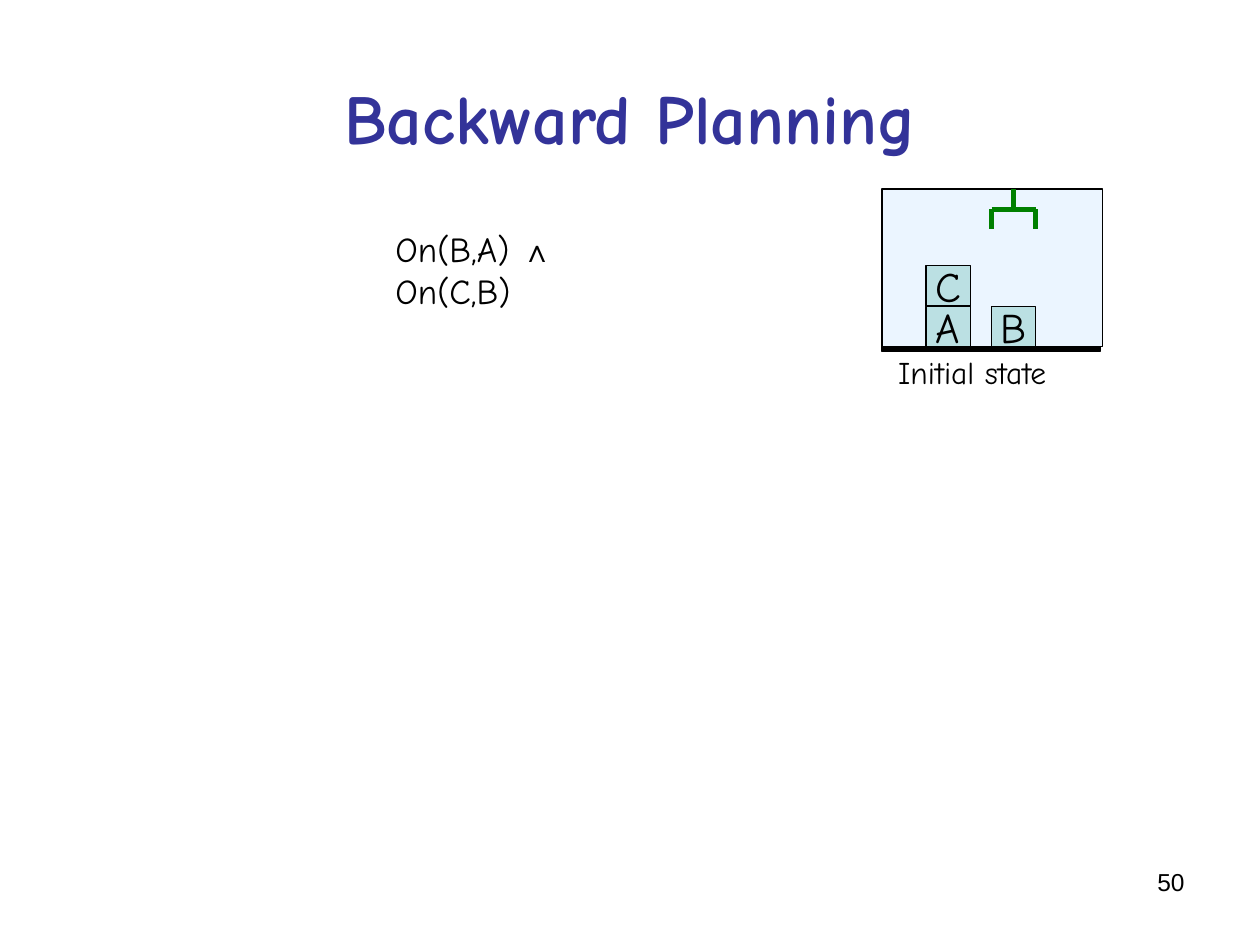
"""Build the Backward Planning slide with its blocks-world initial state."""
from dataclasses import dataclass
from typing import Any, NamedTuple

from lxml import etree
from pptx import Presentation
from pptx.dml.color import RGBColor
from pptx.enum.shapes import MSO_CONNECTOR, MSO_SHAPE
from pptx.enum.text import MSO_ANCHOR, PP_ALIGN
from pptx.oxml.ns import qn
from pptx.util import Inches, Pt

LEFT, MID, RIGHT = PP_ALIGN.LEFT, PP_ALIGN.CENTER, PP_ALIGN.RIGHT
TOP, CENTER = MSO_ANCHOR.TOP, MSO_ANCHOR.MIDDLE
RECT, LINE = MSO_SHAPE.RECTANGLE, MSO_CONNECTOR.STRAIGHT


@dataclass(frozen=True)
class Theme:
    hand: str = "Comic Neue"
    sans: str = "Arial"
    ink: str = "000000"
    title: str = "333399"
    sky: str = "EBF5FF"
    block: str = "BBE0E3"
    claw: str = "008000"
    huge: float = 40
    large: float = 24
    goal: float = 20
    label: float = 18
    small: float = 14
    edge: float = 0.75
    thick: float = 3


class Box(NamedTuple):
    x: float
    y: float
    w: float
    h: float


class Block(NamedTuple):
    name: str
    col: int
    row: int


class Bar(NamedTuple):
    x1: float
    y1: float
    x2: float
    y2: float


THEME = Theme()
FRAME = Box(7, 1.5, 1.75, 1.25)
FLOOR = FRAME.y + FRAME.h
WIDE, HIGH, STEP = 0.35, 0.32, 0.52
BLOCKS = [Block("A", 0, 0), Block("B", 1, 0), Block("C", 0, 1)]
START = FRAME.x + WIDE
JAW = START + STEP
BEAM = FRAME.y + HIGH / 2
TIP = FRAME.y + HIGH
CLAW = [
    Bar(JAW, BEAM, JAW + WIDE, BEAM),
    Bar(JAW, BEAM, JAW, TIP),
    Bar(JAW + WIDE / 2, FRAME.y, JAW + WIDE / 2, BEAM),
    Bar(JAW + WIDE, BEAM, JAW + WIDE, TIP),
]


def style(font: Any, face: str, size: float, color: str, bold: bool = False) -> None:
    font.name, font.size, font.bold = face, Pt(size), bold
    font.color.rgb = RGBColor.from_string(color)


def add_text(shapes: Any, box: Box, text: str, size: float, face: str = THEME.hand,
             color: str = THEME.ink, bold: bool = False, align: Any = LEFT,
             anchor: Any = TOP) -> Any:
    frame = shapes.add_textbox(*map(Inches, box)).text_frame
    frame.word_wrap, frame.vertical_anchor = True, anchor
    para = frame.paragraphs[0]
    para.text, para.alignment = text, align
    style(para.font, face, size, color, bold)
    return para


def add_rect(shapes: Any, box: Box, fill: str) -> Any:
    shape = shapes.add_shape(RECT, *map(Inches, box))
    shape.shadow.inherit = False
    shape.fill.solid()
    shape.fill.fore_color.rgb = RGBColor.from_string(fill)
    shape.line.color.rgb = RGBColor.from_string(THEME.ink)
    shape.line.width = Pt(THEME.edge)
    return shape


def add_block(shapes: Any, block: Block) -> None:
    box = Box(START + block.col * STEP, FLOOR - (block.row + 1) * HIGH, WIDE, HIGH)
    frame = add_rect(shapes, box, THEME.block).text_frame
    frame.word_wrap, frame.vertical_anchor = False, CENTER
    para = frame.paragraphs[0]
    para.text, para.alignment = block.name, MID
    style(para.font, THEME.hand, THEME.large, THEME.ink)


def add_bar(shapes: Any, bar: Bar) -> None:
    line = shapes.add_connector(LINE, *map(Inches, bar))
    line.line.color.rgb = RGBColor.from_string(THEME.claw)
    line.line.width = Pt(THEME.thick)
    etree.SubElement(line._element.spPr, qn("a:effectLst"))


def add_goal(shapes: Any) -> None:
    para = add_text(shapes, Box(3.04, 1.76, 2.29, 0.77), "On(B,A) ", THEME.goal)
    sign = para.add_run()
    sign.text = "∧"
    style(sign.font, THEME.sans, THEME.label, THEME.ink, True)
    para.add_line_break()
    para.add_run().text = "On(C,B)"


def add_scene(shapes: Any) -> None:
    group = shapes.add_group_shape().shapes
    add_rect(group, FRAME, THEME.sky)
    add_rect(group, Box(FRAME.x, FLOOR, 1.73, 0.04), THEME.ink)
    for block in BLOCKS:
        add_block(group, block)
    for bar in CLAW:
        add_bar(group, bar)
    add_text(group, Box(7.03, FLOOR, 1.39, 0.4), "Initial state", THEME.label)


def main() -> None:
    deck = Presentation()
    deck.slide_width, deck.slide_height = Inches(10), Inches(7.5)
    shapes = deck.slides.add_slide(deck.slide_layouts[6]).shapes
    add_text(shapes, Box(7.17, 6.83, 2.33, 0.52), "50", THEME.small,
             THEME.sans, align=RIGHT)
    add_text(shapes, Box(0.5, 0.3, 9, 1.25), "Backward Planning", THEME.huge,
             color=THEME.title, bold=True, align=MID, anchor=CENTER)
    add_goal(shapes)
    add_scene(shapes)
    deck.save("out.pptx")


if __name__ == "__main__":
    main()
